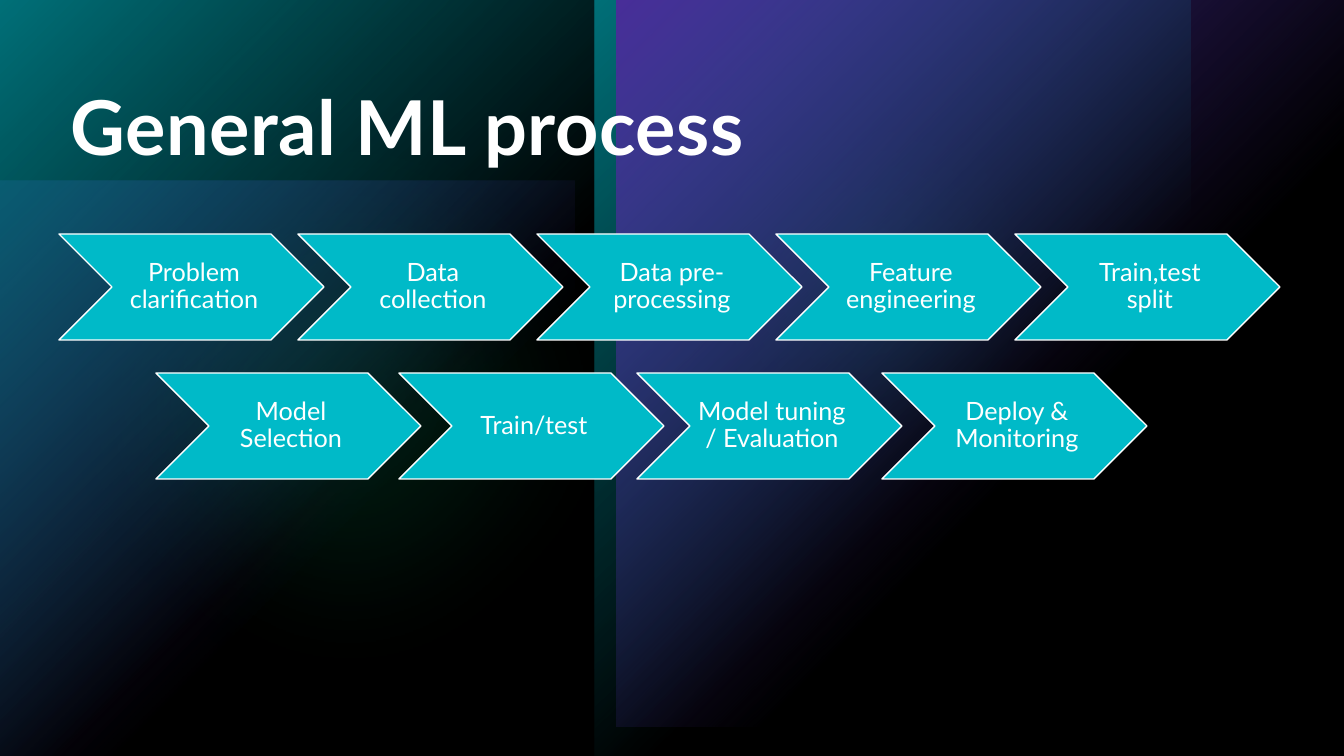
from lxml import etree
from pptx import Presentation
from pptx.dml.color import RGBColor
from pptx.enum.shapes import MSO_SHAPE
from pptx.enum.text import MSO_ANCHOR, PP_ALIGN
from pptx.oxml import parse_xml
from pptx.oxml.ns import nsdecls, qn
from pptx.util import Pt

RECTANGLE = MSO_SHAPE.RECTANGLE
OVAL = MSO_SHAPE.OVAL
CHEVRON = MSO_SHAPE.CHEVRON
MIDDLE = MSO_ANCHOR.MIDDLE
TOP = MSO_ANCHOR.TOP
CENTER = PP_ALIGN.CENTER

BLACK = RGBColor(0x00, 0x00, 0x00)
WHITE = RGBColor(0xFF, 0xFF, 0xFF)
TEAL = RGBColor(0x00, 0xBA, 0xC8)
PURPLE = RGBColor(0x79, 0x4D, 0xFF)
GREEN = RGBColor(0x00, 0xD1, 0x7D)

FONT = "Lato"
EMU_PER_PX = 914400 / 100.8
SLIDE_WIDTH, SLIDE_HEIGHT = 1344, 756
CHEVRON_WIDTH, CHEVRON_HEIGHT = 268 - 3, 106
FIRST_ROW_TOP, SECOND_ROW_TOP = 234, 373
FIRST_ROW_LEFT, FIRST_ROW_STEP = 59, 239

FIRST_ROW = [
    "Problem clarification",
    "Data collection",
    "Data pre-processing",
    "Feature engineering",
    "Train,test split",
]
SECOND_ROW = [
    (156, "Model Selection"),
    (399, "Train/test"),
    (637, "Model tuning / Evaluation"),
    (882, "Deploy & Monitoring"),
]


def px(length):
    return round(length * EMU_PER_PX)


def add_plain_shape(slide, kind, left, top, width, height, color):
    shape = slide.shapes.add_shape(kind, px(left), px(top), px(width), px(height))
    shape.shadow.inherit = False
    shape.fill.solid()
    shape.fill.fore_color.rgb = color
    shape.line.fill.background()
    return shape


def set_opacity(shape, percent):
    color = shape._element.spPr.find(qn("a:solidFill"))[0]
    etree.SubElement(color, qn("a:alpha"), val=str(percent * 1000))


def add_glow(slide, left, top, size, opacity):
    glow = add_plain_shape(slide, OVAL, left, top, size, size, GREEN)
    set_opacity(glow, opacity)
    effects = glow._element.spPr.find(qn("a:effectLst"))
    etree.SubElement(effects, qn("a:softEdge"), rad=str(px(140)))


def add_corner_gradient(slide, left, top, width, height, color, opacity=100):
    panel = add_plain_shape(slide, RECTANGLE, left, top, width, height, color)
    solid = panel._element.spPr.find(qn("a:solidFill"))
    gradient = parse_xml(
        f'<a:gradFill {nsdecls("a")} rotWithShape="1"><a:gsLst>'
        f'<a:gs pos="0"><a:srgbClr val="{color}"><a:alpha val="{opacity * 1000}"/></a:srgbClr></a:gs>'
        f'<a:gs pos="60000"><a:srgbClr val="{color}"><a:alpha val="0"/></a:srgbClr></a:gs>'
        '</a:gsLst><a:path path="circle"><a:fillToRect r="100000" b="100000"/></a:path></a:gradFill>'
    )
    solid.getparent().replace(solid, gradient)


def set_text(shape, text, size, anchor, margins, line_spacing):
    frame = shape.text_frame
    frame.word_wrap = True
    frame.vertical_anchor = anchor
    frame.margin_left, frame.margin_top, frame.margin_right, frame.margin_bottom = map(px, margins)
    paragraph = frame.paragraphs[0]
    paragraph.text = text
    paragraph.line_spacing = line_spacing
    paragraph.font.name = FONT
    paragraph.font.size = Pt(size)
    paragraph.font.color.rgb = WHITE
    return paragraph


def add_step(slide, left, top, label):
    chevron = add_plain_shape(slide, CHEVRON, left, top, CHEVRON_WIDTH, CHEVRON_HEIGHT, TEAL)
    chevron.line.color.rgb = WHITE
    chevron.line.width = Pt(1)
    paragraph = set_text(chevron, label, 18, MIDDLE, (8, 3, 3, 3), 0.9)
    paragraph.alignment = CENTER
    paragraph.space_after = Pt(6)


def add_title(slide, text):
    title = slide.shapes.add_textbox(px(59), px(59), px(1224), px(200))
    paragraph = set_text(title, text, 54, TOP, (12, 12, 12, 10), 1.1)
    paragraph.font.bold = True
    paragraph.runs[0].font._element.set("spc", "40")


def add_backdrop(slide):
    slide.background.fill.solid()
    slide.background.fill.fore_color.rgb = BLACK
    add_corner_gradient(slide, 0, 181, 575, 575, PURPLE, 60)
    add_glow(slide, 634, 43, 476, 60)
    add_glow(slide, 0, 56, 700, 20)
    for left in (0, 595):
        add_corner_gradient(slide, left, 0, 595, SLIDE_HEIGHT, TEAL)
    add_corner_gradient(slide, 617, 0, 727, 727, PURPLE)
    shade = add_plain_shape(slide, RECTANGLE, 0, 0, SLIDE_WIDTH, SLIDE_HEIGHT, BLACK)
    set_opacity(shade, 40)


def main():
    presentation = Presentation()
    presentation.slide_width = px(SLIDE_WIDTH)
    presentation.slide_height = px(SLIDE_HEIGHT)
    slide = presentation.slides.add_slide(presentation.slide_layouts[6])
    add_backdrop(slide)
    for index, label in enumerate(FIRST_ROW):
        add_step(slide, FIRST_ROW_LEFT + index * FIRST_ROW_STEP, FIRST_ROW_TOP, label)
    for left, label in SECOND_ROW:
        add_step(slide, left, SECOND_ROW_TOP, label)
    add_title(slide, "General ML process")
    presentation.save("out.pptx")


if __name__ == "__main__":
    main()
